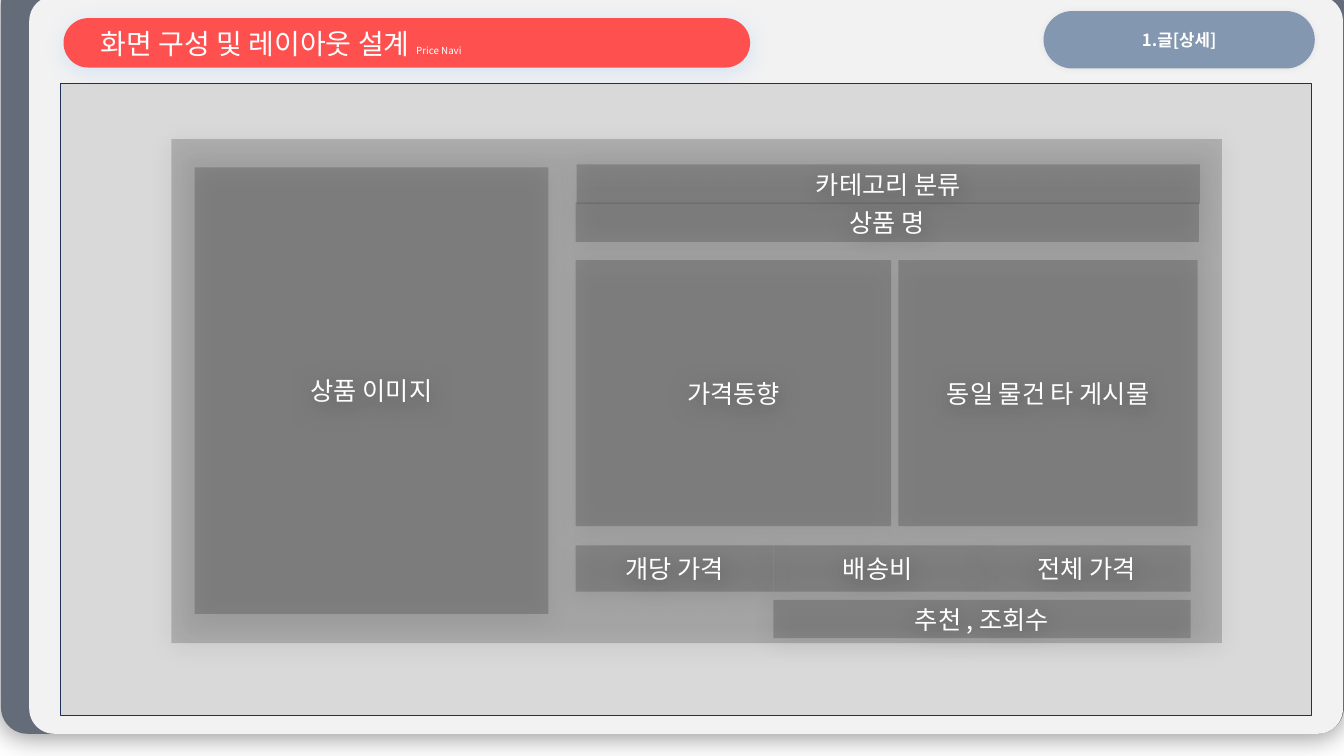
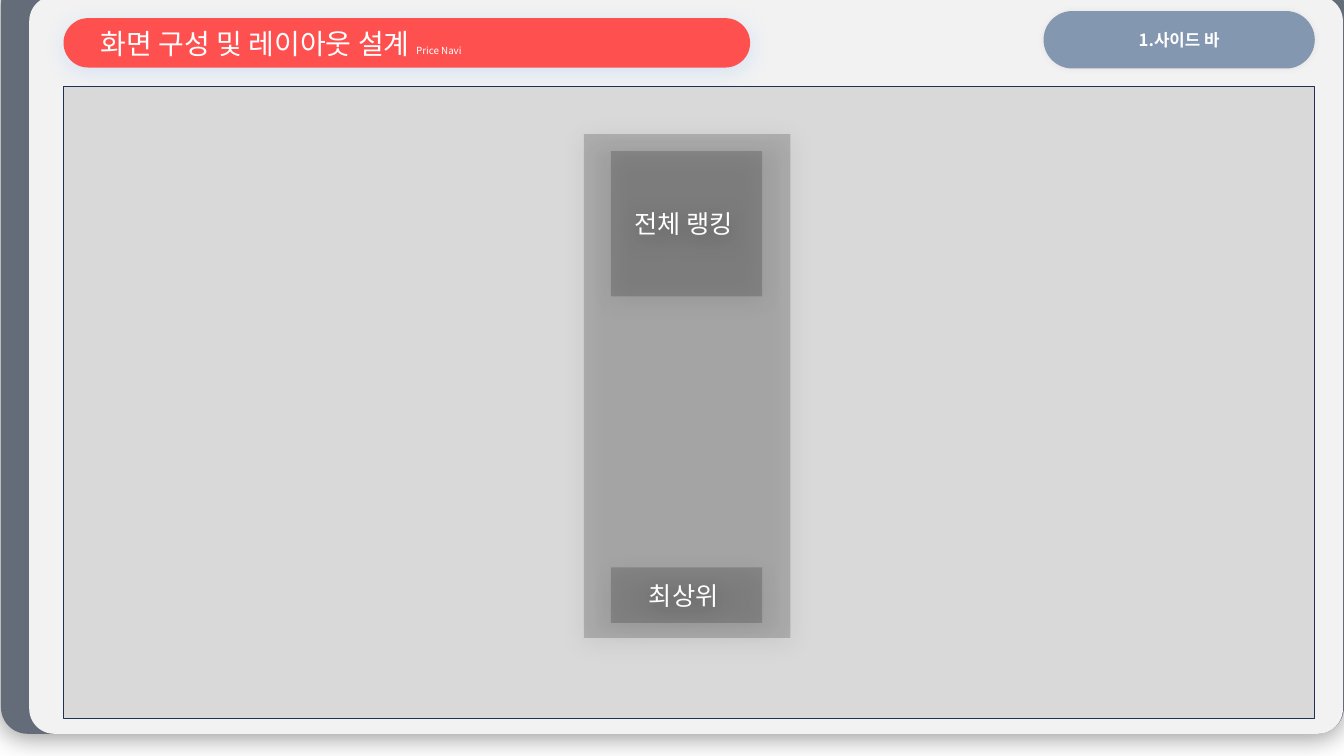
"""Build two wireframe slides: the product detail page and the side bar."""
from dataclasses import dataclass

from lxml.etree import SubElement
from pptx import Presentation
from pptx.dml.color import RGBColor
from pptx.enum.shapes import MSO_SHAPE as Shape
from pptx.enum.text import MSO_ANCHOR as Anchor, MSO_AUTO_SIZE as AutoSize, PP_ALIGN as Align
from pptx.oxml.ns import qn
from pptx.util import Inches, Pt


@dataclass(frozen=True)
class Theme:
    font: str = "Noto Sans CJK KR"
    text: str = "FFFFFF"
    back: str = "646C79"
    sheet: str = "F2F2F2"
    title: str = "FF5050"
    badge: str = "8497B0"
    frame: str = "D9D9D9"
    edge: str = "1E3256"
    block: str = "000000"
    block_alpha: int = 18
    title_size: int = 20
    note_size: int = 7
    badge_size: int = 12
    block_size: int = 18
    deep_shadow: tuple = ("000000", 40, 18, 3)
    title_shadow: tuple = ("489BFB", 17, 15, 3)
    badge_shadow: tuple = ("000000", 5, 5, 0)


T = Theme()
SLIDE = (13.33, 7.5)
FRAME_SIZE = (12.41, 6.27)
TITLE_BOX = (0.63, 0.18, 6.81, 0.49)
TITLE = ("화면 구성 및 레이아웃 설계 ", "Price Navi")

SCREENS = [
    {
        "badge": "1.글[상세]",
        "frame": (0.6, 0.83),
        "panel": (1.7, 1.38, 10.42, 5),
        "rows": [
            (1.93, 1.66, 4.43, 0, [("상품 이미지", 3.51)]),
            (5.72, 1.63, 0.39, 0, [("카테고리 분류", 6.18)]),
            (5.71, 2.01, 0.39, 0, [("상품 명", 6.18)]),
            (5.71, 5.41, 0.46, 0, [("개당 가격", 1.96), ("배송비", 2.07), ("전체 가격", 2.07)]),
            (7.67, 5.95, 0.38, 0, [("추천 , 조회수", 4.14)]),
            (5.71, 2.58, 2.64, 0.07, [("가격동향", 3.13), ("동일 물건 타 게시물", 2.97)]),
        ],
    },
    {
        "badge": "1.사이드 바",
        "frame": (0.63, 0.86),
        "panel": (5.79, 1.33, 2.05, 5),
        "rows": [
            (6.06, 1.5, 1.44, 0, [("전체 랭킹 ", 1.5)]),
            (6.06, 5.63, 0.55, 0, [("최상위 ", 1.5)]),
        ],
    },
]


def set_alpha(color, percent):
    SubElement(color, qn("a:alpha"), val=str(percent * 1000))


def add_shadow(sp, color, alpha, blur, dist):
    effects = sp._element.spPr.find(qn("a:effectLst"))
    shadow = SubElement(effects, qn("a:outerShdw"), blurRad=str(Pt(blur)), dist=str(Pt(dist)),
                        dir="5400000", algn="ctr", rotWithShape="0")
    set_alpha(SubElement(shadow, qn("a:srgbClr"), val=color), alpha)


def add_run(p, text, size, bold=False):
    r = p.add_run()
    r.text = text
    r.font.name, r.font.size, r.font.bold = T.font, Pt(size), bold
    r.font.color.rgb = RGBColor.from_string(T.text)
    SubElement(r.font._element, qn("a:ea"), typeface=T.font)


def add_box(slide, box, fill, radius=None, edge=None, shadow=None):
    kind = Shape.RECTANGLE if radius is None else Shape.ROUNDED_RECTANGLE
    sp = slide.shapes.add_shape(kind, *map(Inches, box))
    if radius is not None:
        sp.adjustments[0] = radius
    sp.fill.solid()
    sp.fill.fore_color.rgb = RGBColor.from_string(fill)
    if edge:
        sp.line.color.rgb = RGBColor.from_string(edge)
        sp.line.width = Pt(1)
    else:
        sp.line.fill.background()
    sp.shadow.inherit = False
    if shadow:
        add_shadow(sp, *shadow)
    return sp


def add_label(sp, text, size, bold=False, wrap=True):
    tf = sp.text_frame
    tf.word_wrap, tf.vertical_anchor = wrap, Anchor.MIDDLE
    p = tf.paragraphs[0]
    p.alignment = Align.CENTER
    add_run(p, text, size, bold)


def add_block(slide, box, label=None):
    sp = add_box(slide, box, T.block, shadow=T.deep_shadow)
    set_alpha(sp._element.spPr.find(qn("a:solidFill"))[0], T.block_alpha)
    if label:
        add_label(sp, label, T.block_size)


def add_title(slide):
    pill = add_box(slide, TITLE_BOX, T.title, 0.5, shadow=T.title_shadow)
    title = slide.shapes.title
    title.left, title.top, title.width, title.height = map(Inches, TITLE_BOX)
    pill._element.addnext(title._element)
    tf = title.text_frame
    tf.auto_size, tf.word_wrap, tf.vertical_anchor = AutoSize.NONE, True, Anchor.MIDDLE
    tf.margin_left = Inches(0.37)
    p = tf.paragraphs[0]
    p.alignment = Align.LEFT
    for text, size in zip(TITLE, (T.title_size, T.note_size)):
        add_run(p, text, size)


def add_screen(prs, screen):
    slide = prs.slides.add_slide(prs.slide_layouts[5])
    add_box(slide, (0.01, -0.22, 13.32, 7.5), T.back, 0.035, shadow=T.deep_shadow)
    add_box(slide, (0.29, -0.04, 13.03, 7.32), T.sheet, 0.034)
    add_title(slide)
    add_box(slide, screen["frame"] + FRAME_SIZE, T.frame, edge=T.edge)
    badge = add_box(slide, (10.35, 0.11, 2.69, 0.57), T.badge, 0.5, shadow=T.badge_shadow)
    add_label(badge, screen["badge"], T.badge_size, bold=True, wrap=False)
    add_block(slide, screen["panel"])
    for left, top, height, gap, cells in screen["rows"]:
        for label, width in cells:
            add_block(slide, (left, top, width, height), label)
            left += width + gap


def main():
    prs = Presentation()
    prs.slide_width, prs.slide_height = map(Inches, SLIDE)
    for screen in SCREENS:
        add_screen(prs, screen)
    prs.save("out.pptx")


if __name__ == "__main__":
    main()
